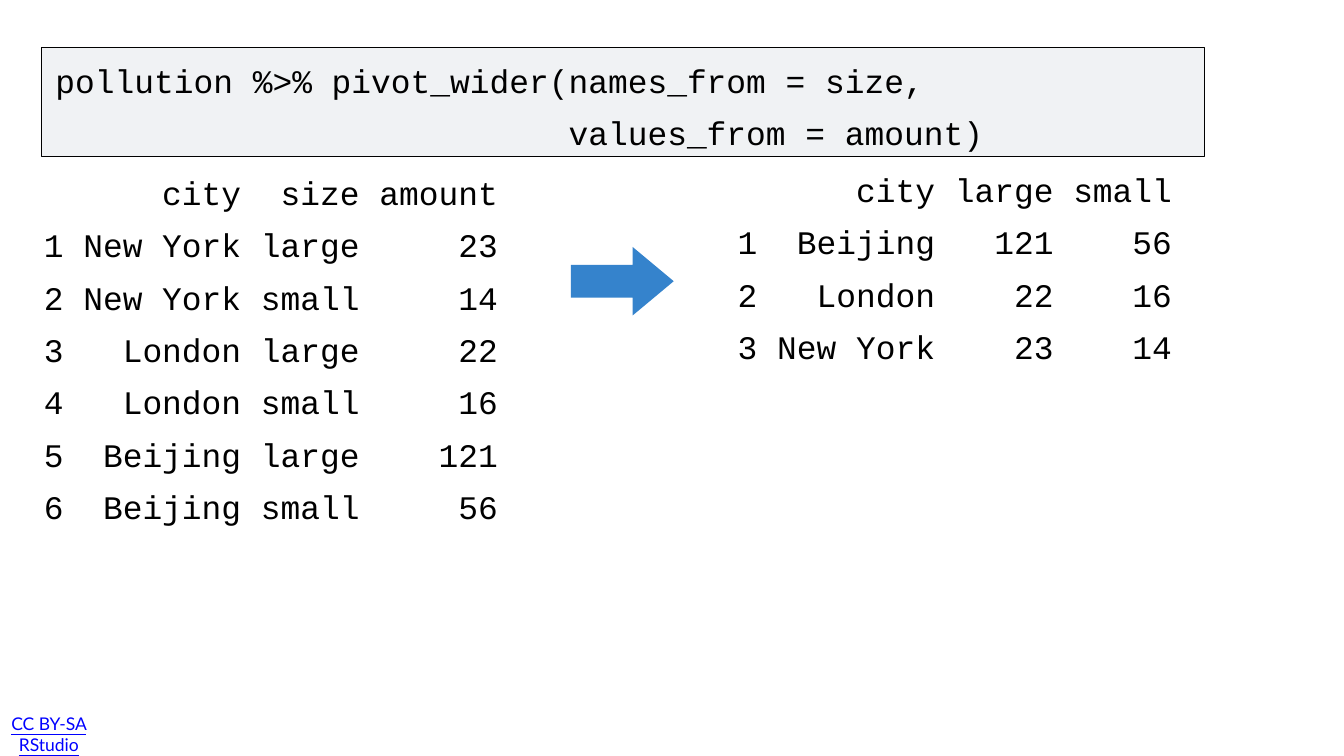
from lxml import etree
from pptx import Presentation
from pptx.dml.color import RGBColor
from pptx.enum import shapes, text
from pptx.oxml import ns
from pptx.util import Inches, Pt

BLACK = RGBColor(0x00, 0x00, 0x00)
PANEL = RGBColor(0xF0, 0xF2, 0xF4)
ARROW = RGBColor(0x03, 0x65, 0xC0)
LINK = RGBColor(0x00, 0x00, 0xFF)

WIDTH, HEIGHT = 26.67, 15

# Content: (left, top, width, height) in inches, then the monospaced lines
CALL = "pollution %>% pivot_wider("
LISTINGS = [
    ((1.04, 1.09, 22.38, 2.02), [
        CALL + "names_from = size,",
        " " * len(CALL) + "values_from = amount)",
    ]),
    ((0.81, 3.32, 11.08, 8.57), [
        "      city  size amount",
        "1 New York large     23",
        "2 New York small     14",
        "3   London large     22",
        "4   London small     16",
        "5  Beijing large    121",
        "6  Beijing small     56",
    ]),
    ((14.58, 3.26, 9.24, 4.63), [
        "      city large small",
        "1  Beijing   121    56",
        "2   London    22    16",
        "3 New York    23    14",
    ]),
]
PANEL_BOX = (0.82, 0.94, 23.08, 2.17)
ARROW_BOX = (11.33, 4.9, 2.04, 1.36)
CREDIT_BOX = (0.12, 14.26, 1.7, 0.6)
CREDIT = "CC BY-SA RStudio"


def add_text(slide, box, lines, font_name, size, color, inset):
    shape = slide.shapes.add_textbox(*map(Inches, box))
    frame = shape.text_frame
    frame.word_wrap = True
    frame.margin_left = frame.margin_right = Inches(inset)
    frame.margin_top = frame.margin_bottom = Inches(inset)
    frame.text = "\n".join(lines)
    for paragraph in frame.paragraphs:
        for run in paragraph.runs:
            run.font.name = font_name
            run.font.size = Pt(size)
            run.font.color.rgb = color
    return frame


def add_filled(slide, kind, box, color):
    shape = slide.shapes.add_shape(kind, *map(Inches, box))
    shape.shadow.inherit = False
    shape.fill.solid()
    shape.fill.fore_color.rgb = color
    return shape


presentation = Presentation()
presentation.slide_width = Inches(WIDTH)
presentation.slide_height = Inches(HEIGHT)
slide = presentation.slides.add_slide(presentation.slide_layouts[6])

# License credit
credit = add_text(slide, CREDIT_BOX, [CREDIT], "Lato", 25, LINK, 0.08)
credit.vertical_anchor = text.MSO_ANCHOR.MIDDLE
credit.paragraphs[0].alignment = text.PP_ALIGN.CENTER
credit.paragraphs[0].runs[0].font.underline = True

# Panel behind the code
panel = add_filled(slide, shapes.MSO_SHAPE.RECTANGLE, PANEL_BOX, PANEL)
panel.line.color.rgb = BLACK
panel.line.width = Pt(1)

# Code and the data before and after
for box, lines in LISTINGS:
    frame = add_text(slide, box, lines, "Courier New", 47, BLACK, 0.06)
    for index, paragraph in enumerate(frame.paragraphs):
        paragraph.line_spacing = 1.06
        if index:
            paragraph.space_before = Pt(15)

# Arrow from long to wide data
arrow = add_filled(slide, shapes.MSO_SHAPE.RIGHT_ARROW, ARROW_BOX, ARROW)
arrow.line.fill.background()
arrow.adjustments[0] = 0.48
arrow.adjustments[1] = 0.6
fill_color = arrow.fill._xPr.find(ns.qn("a:solidFill"))[0]
etree.SubElement(fill_color, ns.qn("a:alpha"), val="80000")

presentation.save("out.pptx")
